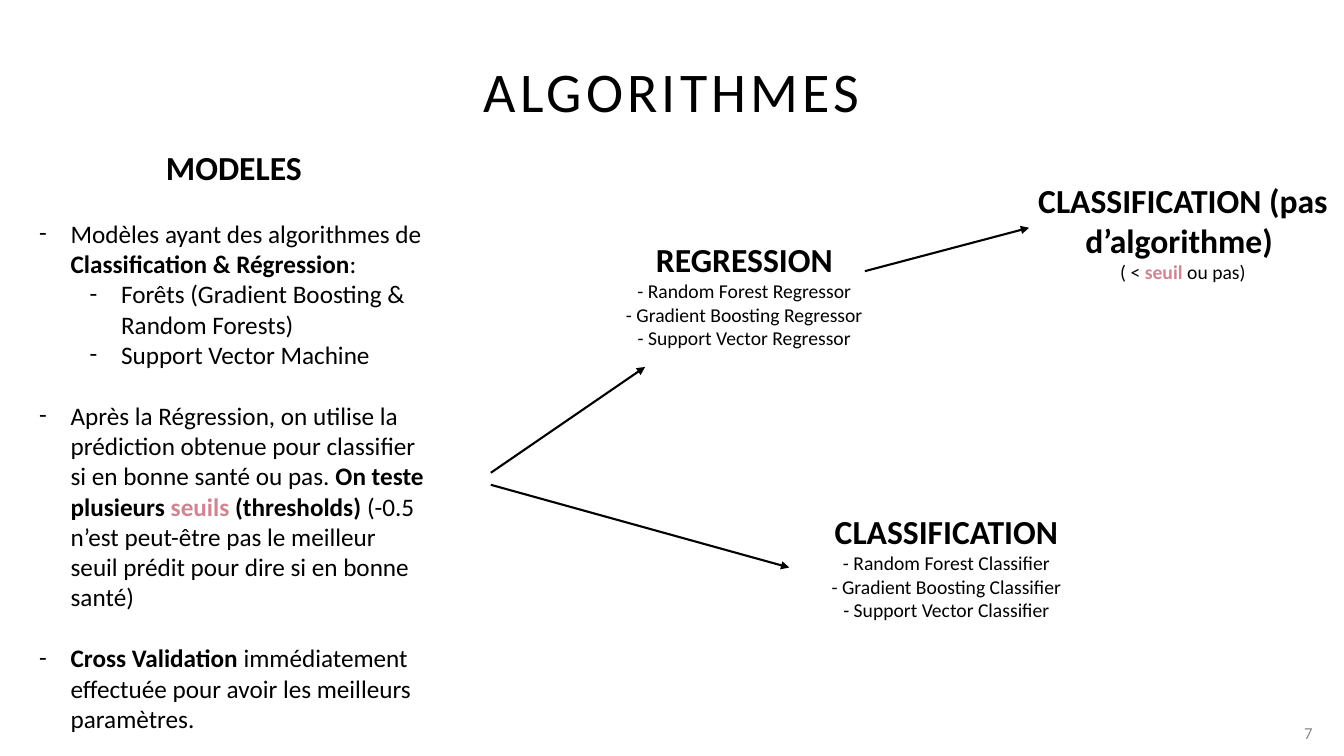
"""Build the slide that maps the models to regression and classification."""
from lxml.etree import SubElement
from pptx import Presentation
from pptx.dml.color import RGBColor
from pptx.enum.shapes import MSO_CONNECTOR as Connector
from pptx.enum.text import MSO_ANCHOR as Anchor, PP_ALIGN as Align
from pptx.oxml.ns import qn
from pptx.util import Pt

BLACK, PINK, GREY = "000000", "D08593", "8C8C8C"
PLAIN = {"bold": False, "color": BLACK}
BOLD = {"bold": True, "color": BLACK}
THRESHOLD = {"bold": True, "color": PINK}
HEADING, LIST, DETAIL = 24, 18, 14
GAP, HANG = 22, 22.5

MODELS = [
    (22.5, GAP, [("Modèles ayant des algorithmes de ", PLAIN),
                 ("Classification & Régression", BOLD), (":", PLAIN)]),
    (58.5, 0, [("Forêts (Gradient Boosting & Random Forests)", PLAIN)]),
    (58.5, 0, [("Support Vector Machine", PLAIN)]),
    (22.5, GAP, [("Après la Régression, on utilise la prédiction obtenue pour "
                  "classifier si en bonne santé ou pas. ", PLAIN),
                 ("On teste plusieurs ", BOLD), ("seuils", THRESHOLD),
                 (" (thresholds) ", BOLD),
                 ("(-0.5 n’est peut-être pas le meilleur seuil prédit pour dire "
                  "si en bonne santé)", PLAIN)]),
    (22.5, GAP, [("Cross Validation ", BOLD),
                 ("immédiatement effectuée pour avoir les meilleurs paramètres.", PLAIN)]),
]
BRANCHES = [
    ((370.8, 167, 321.8, 87), "REGRESSION",
     [[(f"- {name} Regressor", PLAIN)]
      for name in ("Random Forest", "Gradient Boosting", "Support Vector")]),
    ((529.9, 361.4, 292.3, 138), "CLASSIFICATION",
     [[(f"- {name} Classifier", PLAIN)]
      for name in ("Random Forest", "Gradient Boosting", "Support Vector")]),
    ((730, 124.6, 230, 104), "CLASSIFICATION (pas d’algorithme) ",
     [[("( < ", PLAIN), ("seuil", THRESHOLD), (" ou pas)", PLAIN)]]),
]
ARROWS = [(350.6, 337.7, 460.8, 262.1), (350.6, 346.3, 563.8, 405.4),
          (617.8, 193.7, 735.1, 162.7)]


def rgb(code):
    return RGBColor.from_string(code)


def add_box(page, area, anchor=Anchor.TOP):
    frame = page.shapes.add_textbox(*map(Pt, area)).text_frame
    for name, value in {"word_wrap": True, "vertical_anchor": anchor}.items():
        setattr(frame, name, value)
    return frame


def add_para(frame, spans, size, align=Align.CENTER, before=0):
    para = frame.paragraphs[0]
    if para.runs:
        para = frame.add_paragraph()
    for name, value in {"alignment": align, "space_before": Pt(before)}.items():
        setattr(para, name, value)
    for text, style in spans:
        span = para.add_run()
        span.text = text
        for name, value in {"name": "Calibri", "size": Pt(size), "bold": style["bold"]}.items():
            setattr(span.font, name, value)
        span.font.color.rgb = rgb(style["color"])
    return para


def add_dash(para, margin):
    properties = para._p.get_or_add_pPr()
    properties.set("marL", str(Pt(margin)))
    properties.set("indent", str(-Pt(HANG)))
    SubElement(properties, qn("a:buFont"), typeface="Calibri")
    SubElement(properties, qn("a:buChar"), char="-")


def add_arrow(page, ends):
    arrow = page.shapes.add_connector(Connector.STRAIGHT, *map(Pt, ends))
    arrow.line.width = Pt(1.5)
    arrow.line.color.rgb = rgb(BLACK)
    SubElement(arrow.line._get_or_add_ln(), qn("a:tailEnd"), type="triangle")
    SubElement(arrow._element.spPr, qn("a:effectLst"))


def main():
    deck = Presentation()
    deck.slide_width, deck.slide_height = Pt(960), Pt(540)
    page = deck.slides.add_slide(deck.slide_layouts[6])

    title = add_para(add_box(page, (46.8, 17.3, 866.2, 93.6), Anchor.MIDDLE),
                     [("ALGORITHMES", PLAIN)], 40)
    title.runs[0].font._element.set("spc", "300")
    add_para(add_box(page, (909.4, 509, 35.3, 28.8), Anchor.MIDDLE),
             [("7", {"bold": False, "color": GREY})], 12, Align.RIGHT)

    models = add_box(page, (20.9, 101.5, 292.3, 429))
    add_para(models, [("MODELES", BOLD)], HEADING)
    for margin, before, spans in MODELS:
        add_dash(add_para(models, spans, LIST, Align.LEFT, before), margin)

    for area, heading, details in BRANCHES:
        branch = add_box(page, area)
        add_para(branch, [(heading, BOLD)], HEADING)
        for spans in details:
            add_para(branch, spans, DETAIL)

    for ends in ARROWS:
        add_arrow(page, ends)
    deck.save("out.pptx")


if __name__ == "__main__":
    main()
